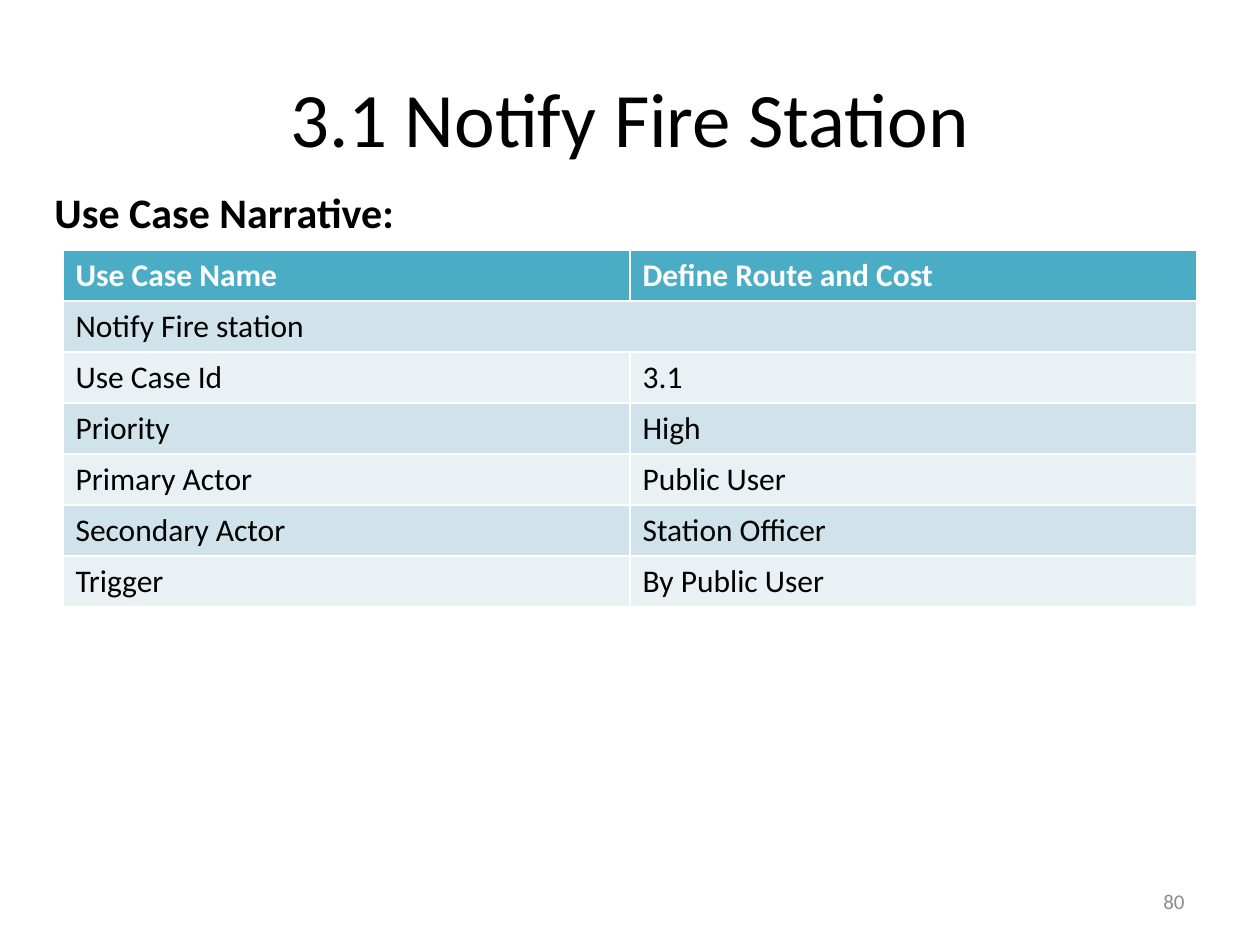
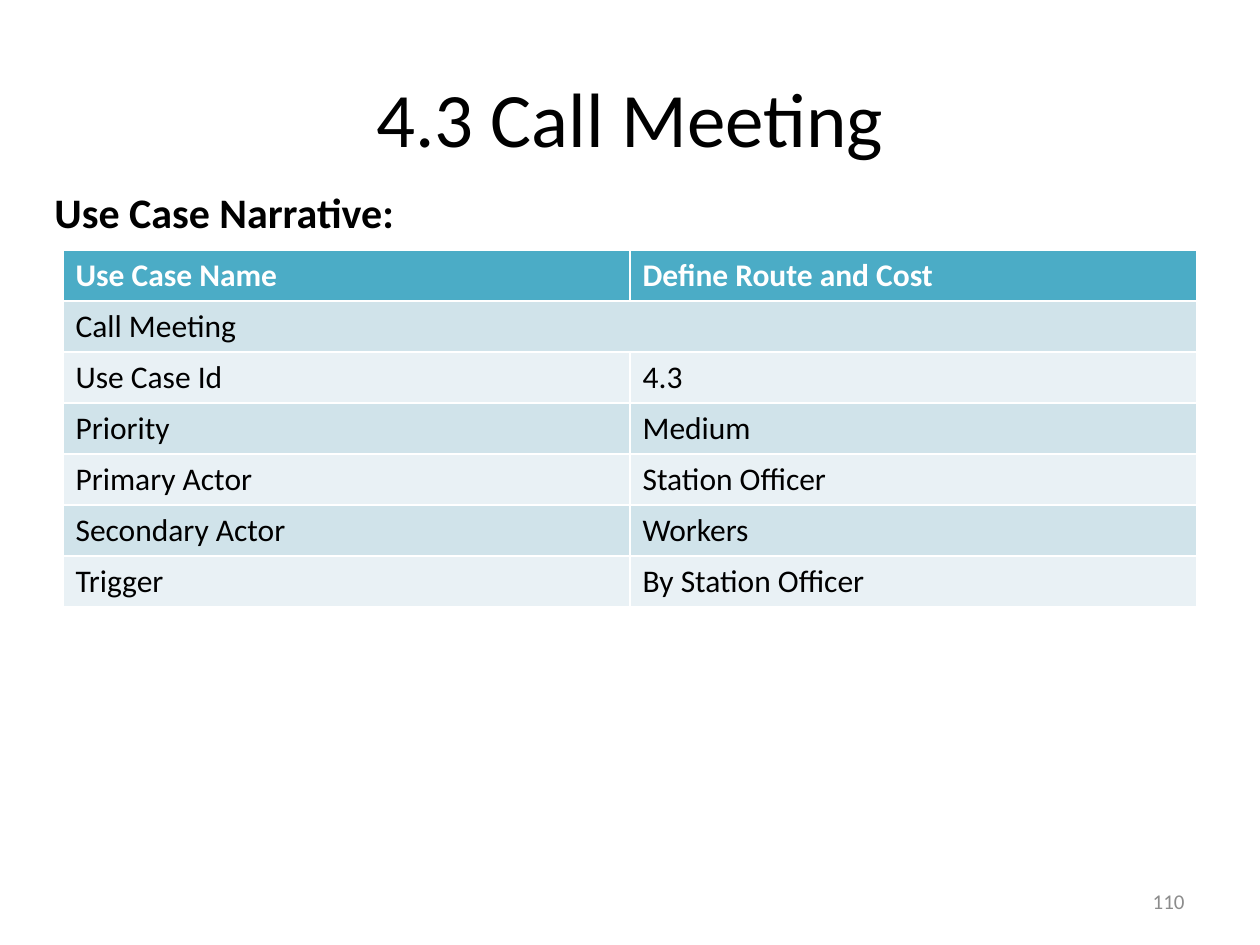
"""Build two use case narrative slides, each with a title, a table and a page number."""
from pptx import Presentation
from pptx.dml.color import RGBColor
from pptx.enum.text import MSO_ANCHOR, PP_ALIGN
from pptx.util import Emu, Pt

FONT = "Calibri"
BLACK = RGBColor(0x00, 0x00, 0x00)
WHITE = RGBColor(0xFF, 0xFF, 0xFF)
GREY = RGBColor(0x8C, 0x8C, 0x8C)
TEAL = RGBColor(0x4B, 0xAC, 0xC6)
BAND_DARK = RGBColor(0xD0, 0xE3, 0xEA)
BAND_LIGHT = RGBColor(0xE9, 0xF1, 0xF5)

ROW_H = 51
LABELS = ["Use Case Id", "Priority", "Primary Actor", "Secondary Actor", "Trigger"]
USE_CASES = [
    ("3.1 Notify Fire Station", "Notify Fire station", "80",
     ["3.1", "High", "Public User", "Station Officer", "By Public User"]),
    ("4.3 Call Meeting", "Call Meeting", "110",
     ["4.3", "Medium", "Station Officer", "Workers", "By Station Officer"]),
]


def px(*lengths):
    return [Emu(round(n * 914400 / 126)) for n in lengths]


def add_text(s, box, text, size, color, align, anchor, bold=False):
    tf = s.shapes.add_textbox(*px(*box)).text_frame
    tf.word_wrap = True
    tf.vertical_anchor = anchor
    tf.text = text
    p = tf.paragraphs[0]
    p.alignment = align
    font = p.runs[0].font
    font.name, font.size, font.bold = FONT, Pt(size), bold
    font.color.rgb = color


prs = Presentation()
prs.slide_width, prs.slide_height = px(1260, 945)

for title, name, page, values in USE_CASES:
    s = prs.slides.add_slide(prs.slide_layouts[6])
    add_text(s, (63, 38, 1134, 157), title, 44, BLACK, PP_ALIGN.CENTER, MSO_ANCHOR.MIDDLE)

    rows = [("Use Case Name", "Define Route and Cost"), (name, ""), *zip(LABELS, values)]
    table = s.shapes.add_table(len(rows), 2, *px(63, 250, 1134, ROW_H * len(rows))).table
    table.cell(1, 0).merge(table.cell(1, 1))
    for i, row in enumerate(rows):
        header = i == 0
        fill = TEAL if header else BAND_DARK if i % 2 else BAND_LIGHT
        for j, text in enumerate(row):
            cell = table.cell(i, j)
            cell.fill.solid()
            cell.fill.fore_color.rgb = fill
            if cell.is_spanned:
                continue
            cell.text = text
            font = cell.text_frame.paragraphs[0].runs[0].font
            font.name, font.size, font.bold = FONT, Pt(18), header
            font.color.rgb = WHITE if header else BLACK

    add_text(s, (903, 876, 294, 50), page, 12, GREY, PP_ALIGN.RIGHT, MSO_ANCHOR.MIDDLE)
    add_text(s, (42, 180, 662, 63), "Use Case Narrative:", 24, BLACK,
             PP_ALIGN.LEFT, MSO_ANCHOR.TOP, bold=True)

prs.save("out.pptx")
